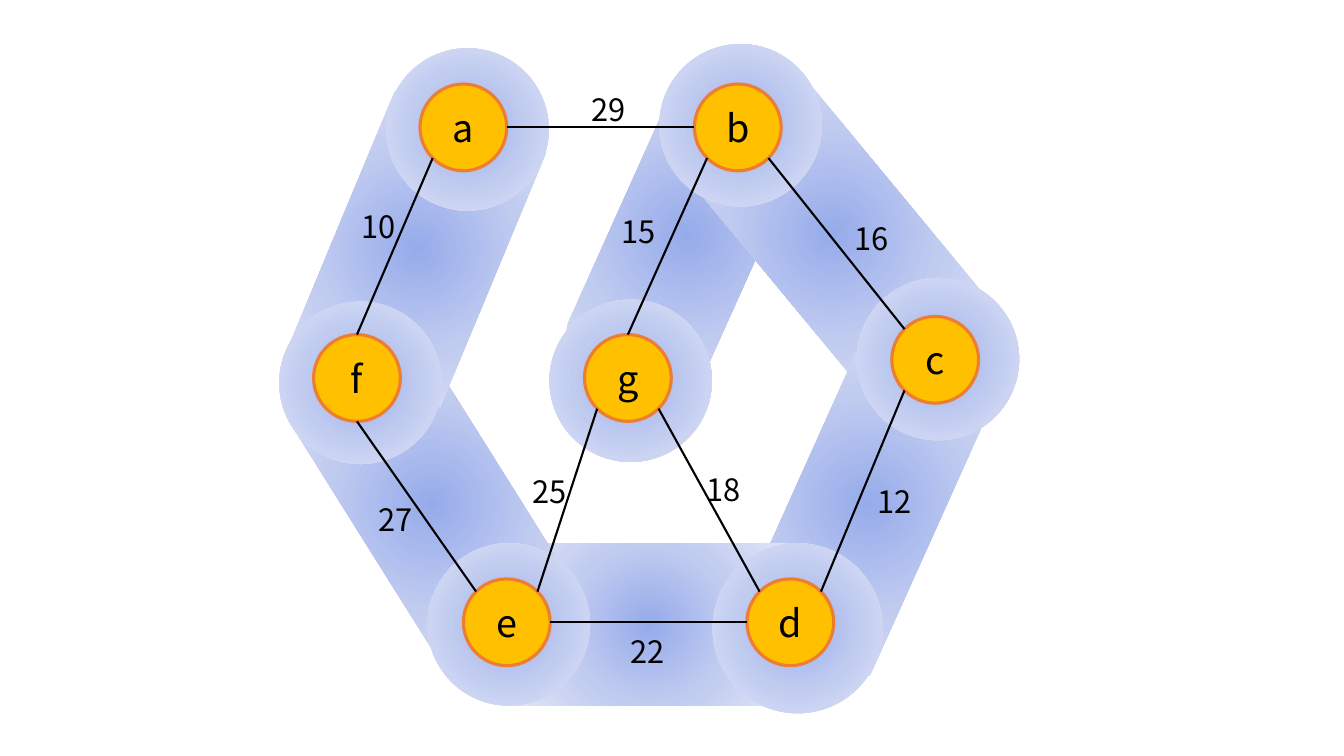
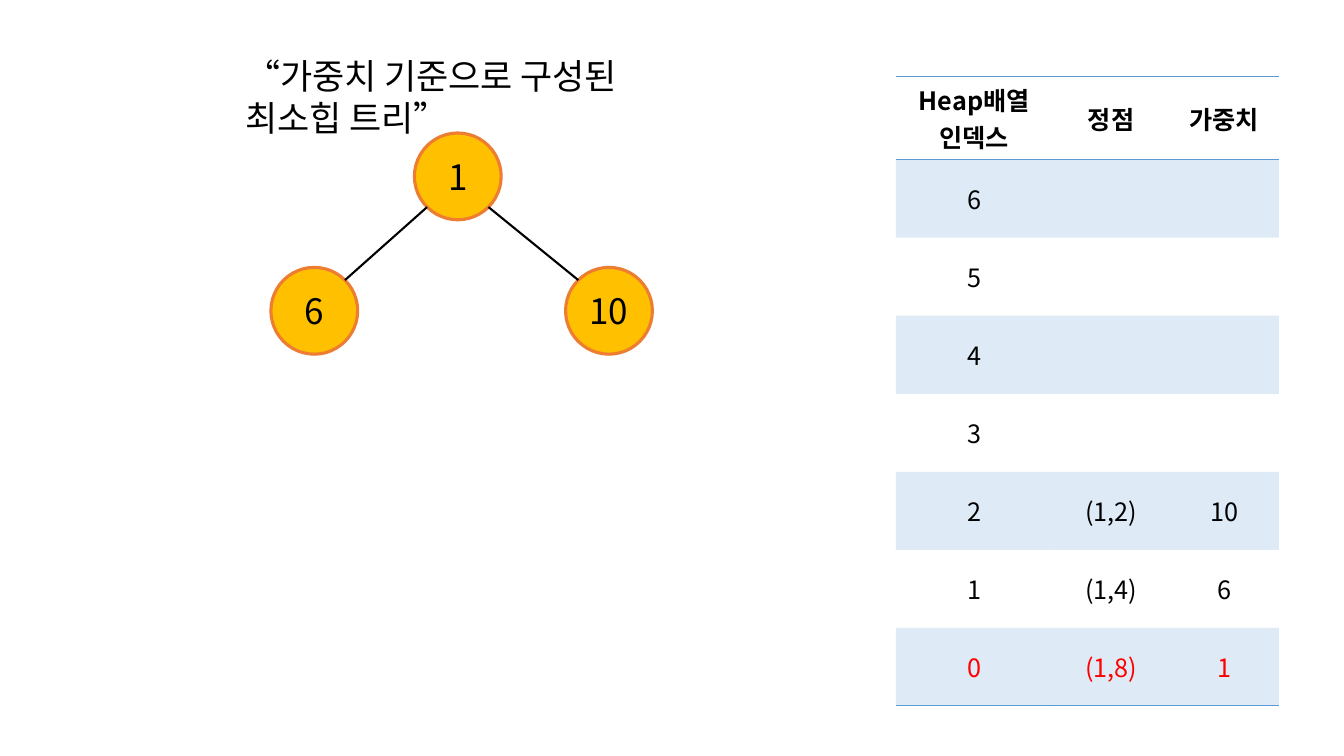
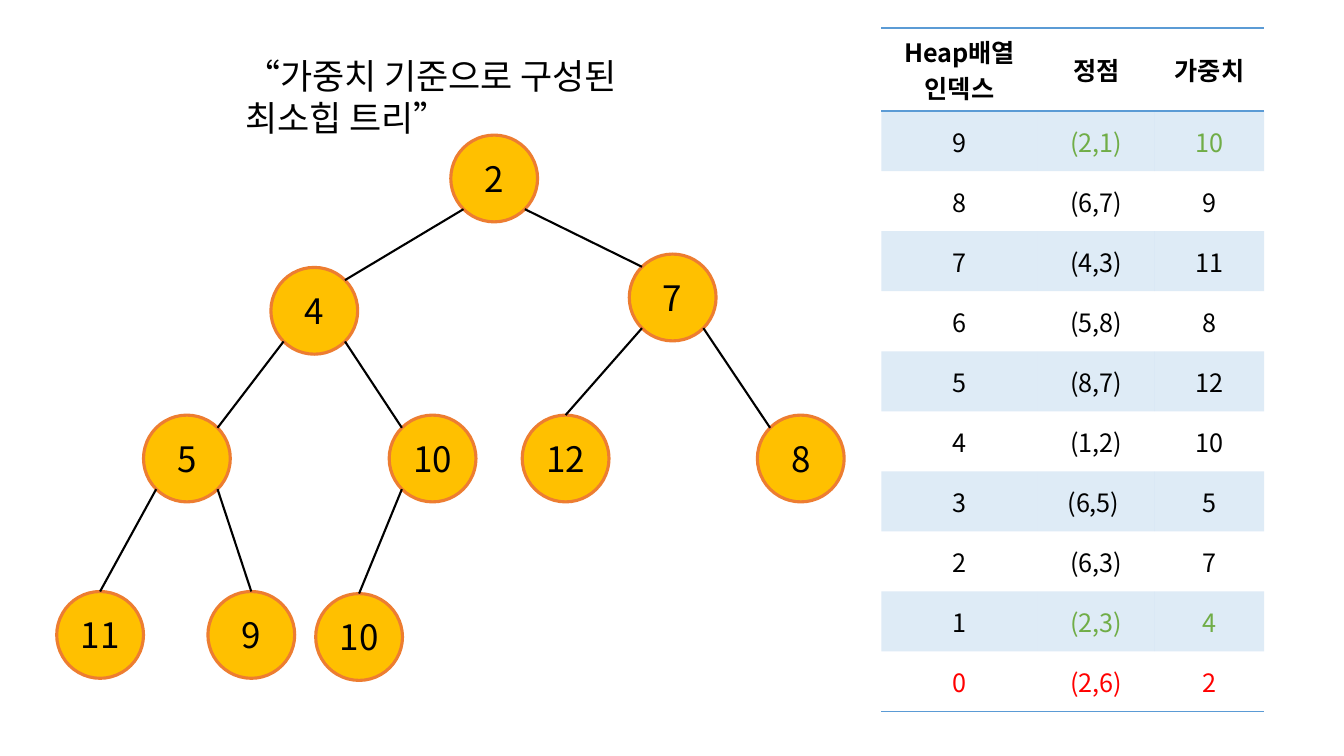
from math import cos, pi, sin

from lxml.etree import SubElement
from pptx import Presentation
from pptx.dml.color import RGBColor
from pptx.enum.shapes import MSO_CONNECTOR, MSO_SHAPE
from pptx.enum.text import MSO_ANCHOR, MSO_AUTO_SIZE, PP_ALIGN
from pptx.oxml import parse_xml
from pptx.oxml.ns import nsdecls, qn
from pptx.util import Pt

TOP, TOP_LEFT, LEFT, BOTTOM_LEFT, BOTTOM, BOTTOM_RIGHT, RIGHT, TOP_RIGHT = range(8)


def color(value):
    return RGBColor.from_string(value)


class Deck:
    FONT = "Noto Sans CJK KR"
    INK = "000000"
    RED = "FF0000"
    GREEN = "70AD47"
    NODE_FILL = "FFC000"
    NODE_LINE = "ED7D31"
    ACCENT = "5B9BD5"
    GLOW = ((0, "96ABEA"), (50, "C0CBF0"), (100, "E0E5F7"))
    NODE = 62
    COLUMNS = (111.75, 83.75, 78)
    HEADER_HEIGHT = 51.5
    PLAIN_TABLE = "{2D5ABB26-0587-4C30-8999-92F81FD0307C}"

    def __init__(self):
        self.presentation = Presentation()
        self.presentation.slide_width = Pt(960)
        self.presentation.slide_height = Pt(540)

    def new_slide(self):
        layout = self.presentation.slide_layouts[6]
        self.shapes = self.presentation.slides.add_slide(layout).shapes

    def put_text(self, frame, text, size, align=PP_ALIGN.LEFT, ink=INK, bold=False):
        frame.text = text
        for paragraph in frame.paragraphs:
            paragraph.alignment = align
            font = paragraph.font
            font.name, font.size, font.bold = self.FONT, Pt(size), bold
            font.color.rgb = color(ink)
            properties = paragraph._p.get_or_add_pPr().get_or_add_defRPr()
            SubElement(properties, qn("a:ea"), typeface=self.FONT)

    def glow(self, preset, left, top, width, height, rotation=0, rounding=None):
        shape = self.shapes.add_shape(preset, Pt(left), Pt(top), Pt(width), Pt(height))
        shape.rotation = rotation
        shape.shadow.inherit = False
        shape.line.fill.background()
        shape.fill.background()
        if rounding is not None:
            shape.adjustments[0] = rounding
        stops = "".join(
            f'<a:gs pos="{place * 1000}"><a:srgbClr val="{tint}"/></a:gs>'
            for place, tint in self.GLOW
        )
        gradient = parse_xml(
            f'<a:gradFill {nsdecls("a")} rotWithShape="1"><a:gsLst>{stops}</a:gsLst>'
            '<a:path path="circle"><a:fillToRect l="50000" t="50000" r="50000" b="50000"/>'
            "</a:path></a:gradFill>"
        )
        properties = shape._element.spPr
        properties.replace(properties.find(qn("a:noFill")), gradient)

    def band(self, left, top, width, height, rotation, rounding=0):
        self.glow(MSO_SHAPE.ROUNDED_RECTANGLE, left, top, width, height, rotation, rounding)

    def halo(self, left, top, size=116):
        self.glow(MSO_SHAPE.OVAL, left, top, size, size)

    def node(self, text, left, top, size):
        node = self.shapes.add_shape(
            MSO_SHAPE.OVAL, Pt(left), Pt(top), Pt(self.NODE), Pt(self.NODE)
        )
        node.shadow.inherit = False
        node.fill.solid()
        node.fill.fore_color.rgb = color(self.NODE_FILL)
        node.line.color.rgb = color(self.NODE_LINE)
        node.line.width = Pt(2.25)
        node.text_frame.vertical_anchor = MSO_ANCHOR.MIDDLE
        self.put_text(node.text_frame, text, size, PP_ALIGN.CENTER)
        return node

    def rim(self, node, site):
        angle = site * pi / 4
        radius = node.width / 2
        return (
            int(node.left + radius - radius * sin(angle)),
            int(node.top + radius - radius * cos(angle)),
        )

    def edge(self, start, start_site, end, end_site):
        edge = self.shapes.add_connector(
            MSO_CONNECTOR.STRAIGHT, *self.rim(start, start_site), *self.rim(end, end_site)
        )
        edge.line.color.rgb = color(self.INK)
        edge.line.width = Pt(1.5)
        SubElement(edge._element.spPr, qn("a:effectLst"))
        links = edge._element.nvCxnSpPr.cNvCxnSpPr
        for link, node, site in (
            (links.get_or_add_stCxn(), start, start_site),
            (links.get_or_add_endCxn(), end, end_site),
        ):
            link.id, link.idx = node.shape_id, site

    def label(self, text, left, top, width, height, size, wrap=False):
        box = self.shapes.add_textbox(Pt(left), Pt(top), Pt(width), Pt(height))
        box.text_frame.word_wrap = wrap
        box.text_frame.auto_size = MSO_AUTO_SIZE.SHAPE_TO_FIT_TEXT
        self.put_text(box.text_frame, text, size)

    def cell(self, cell, text, ink=INK, bold=False, shaded=False, borders=()):
        cell.vertical_anchor = MSO_ANCHOR.MIDDLE
        self.put_text(cell.text_frame, text, 18, PP_ALIGN.CENTER, ink, bold)
        properties = cell._tc.get_or_add_tcPr()
        for side in borders:
            border = SubElement(properties, qn(f"a:ln{side}"), w=str(Pt(1)))
            paint = SubElement(border, qn("a:solidFill"))
            SubElement(paint, qn("a:srgbClr"), val=self.ACCENT)
        if shaded:
            cell.fill.solid()
            cell.fill.fore_color.rgb = color(self.ACCENT)
            tint = properties.find(qn("a:solidFill")).find(qn("a:srgbClr"))
            SubElement(tint, qn("a:alpha"), val="20000")
        else:
            cell.fill.background()

    def heap_table(self, left, top, row_height, slots, heap, highlights):
        frame = self.shapes.add_table(
            slots + 1, 3, Pt(left), Pt(top), Pt(sum(self.COLUMNS)),
            Pt(self.HEADER_HEIGHT + slots * row_height),
        )
        table = frame.table
        table._tbl.tblPr.find(qn("a:tableStyleId")).text = self.PLAIN_TABLE
        table.horz_banding = False
        for column, width in zip(table.columns, self.COLUMNS):
            column.width = Pt(width)
        for number, row in enumerate(table.rows):
            row.height = Pt(row_height if number else self.HEADER_HEIGHT)
        for column, heading in enumerate(("Heap배열\n인덱스", "정점", "가중치")):
            self.cell(table.cell(0, column), heading, bold=True, borders="TB")
        for row in range(1, slots + 1):
            index = slots - row
            entry = heap[index][:2] if index < len(heap) else ("", "")
            for column, text in enumerate((str(index), *entry)):
                ink = self.INK
                if index == 0:
                    ink = self.RED
                elif column and index in highlights:
                    ink = self.GREEN
                self.cell(
                    table.cell(row, column), text, ink,
                    shaded=row % 2 == 1, borders="B" if index == 0 else "",
                )

    def heap_slide(self, heap, left, top, row_height, slots, highlights=(), top_joined=()):
        self.new_slide()
        self.heap_table(left, top, row_height, slots, heap, highlights)
        self.label("“가중치 기준으로 구성된 최소힙 트리”", 168, 35.5, 342.5, 37.5, 25, wrap=True)
        nodes = [self.node(weight, x, y, 25) for _, weight, x, y in heap]
        for index in range(1, len(nodes)):
            leave, enter = (BOTTOM_LEFT, TOP_RIGHT) if index % 2 else (BOTTOM_RIGHT, TOP_LEFT)
            if index in top_joined:
                enter = TOP
            self.edge(nodes[(index - 1) // 2], leave, nodes[index], enter)


BANDS_AND_HALOS = (
    ((439, 57, 103.5, 222, 24.2, 0.2), (392.5, 214)),
    ((540, 68.5, 110, 196, 320.4), (471, 31.5)),
    ((568, 249, 103.5, 222, 24.2), (612, 198.5)),
    ((406, 348, 116, 196, 270), (509, 388, 121.5)),
    ((253.5, 262, 110, 196, 327.9), (305.5, 388)),
    ((240, 80, 116.5, 196, 22.6), (199.5, 215.5)),
)
LAST_HALO = (276, 34.5)

VERTICES = {
    "a": (300, 60),
    "b": (496, 60),
    "g": (417.5, 239),
    "c": (637, 226),
    "d": (533.5, 413.5),
    "e": (331, 413.5),
    "f": (224, 239),
}

EDGES = (
    ("a", RIGHT, "b", LEFT),
    ("a", BOTTOM_LEFT, "f", TOP),
    ("b", BOTTOM_RIGHT, "c", TOP_LEFT),
    ("b", BOTTOM_LEFT, "g", TOP),
    ("g", BOTTOM_RIGHT, "d", TOP_LEFT),
    ("c", BOTTOM_LEFT, "d", TOP_RIGHT),
    ("g", BOTTOM_LEFT, "e", TOP_RIGHT),
    ("e", RIGHT, "d", LEFT),
    ("f", BOTTOM, "e", TOP_LEFT),
)

WEIGHTS = (
    ("10", 251.5, 144.5),
    ("29", 415.5, 61),
    ("15", 437, 148.5),
    ("16", 603.5, 153.5),
    ("12", 620, 341.5),
    ("18", 497.5, 332.5),
    ("25", 373.5, 334),
    ("22", 443, 448.5),
    ("27", 263.5, 354),
)

SMALL_HEAP = (
    ("(1,8)", "1", 296, 95),
    ("(1,4)", "6", 193.5, 191),
    ("(1,2)", "10", 404, 191),
)

LARGE_HEAP = (
    ("(2,6)", "2", 322, 96.5),
    ("(2,3)", "4", 193.5, 191),
    ("(6,3)", "7", 449.5, 181.5),
    ("(6,5) ", "5", 102.5, 296.5),
    ("(1,2)", "10", 278, 296.5),
    ("(8,7)", "12", 373, 296.5),
    ("(5,8)", "8", 541, 296.5),
    ("(4,3)", "11", 40.5, 422.5),
    ("(6,7)", "9", 148.5, 422.5),
    ("(2,1)", "10", 225.5, 424),
)


def spanning_tree_slide(deck):
    deck.new_slide()
    for band, halo in BANDS_AND_HALOS:
        deck.band(*band)
        deck.halo(*halo)
    deck.halo(*LAST_HALO)
    nodes = {name: deck.node(name, *place, 27) for name, place in VERTICES.items()}
    for start, start_site, end, end_site in EDGES:
        deck.edge(nodes[start], start_site, nodes[end], end_site)
    for weight, left, top in WEIGHTS:
        deck.label(weight, left, top, 39, 34, 22)


def main():
    deck = Deck()
    spanning_tree_slide(deck)
    deck.heap_slide(SMALL_HEAP, 640, 54.75, 55.75, 7)
    deck.heap_slide(
        LARGE_HEAP, 629.5, 20, 42.9, 10, highlights=(1, 9), top_joined=(5, 7, 8, 9)
    )
    deck.presentation.save("out.pptx")


if __name__ == "__main__":
    main()
